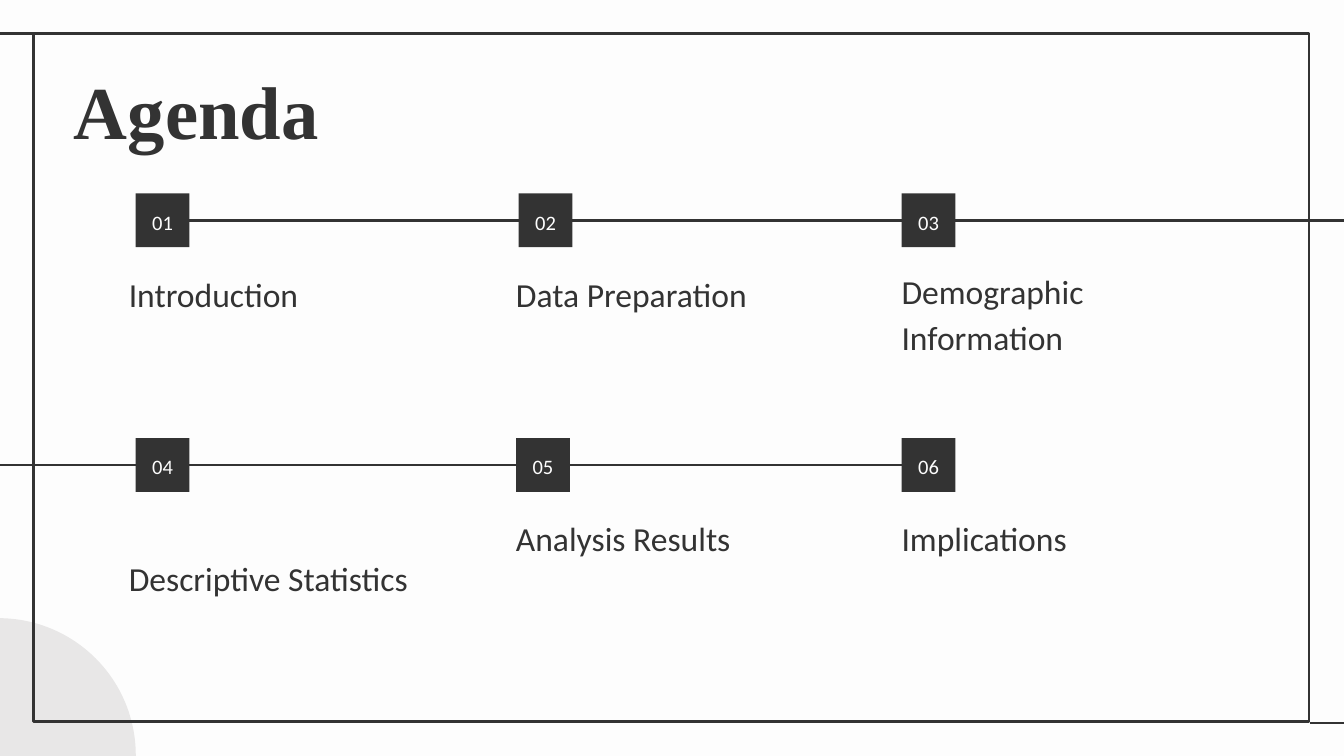
from lxml import etree
from pptx import Presentation
from pptx.dml.color import RGBColor
from pptx.enum.shapes import MSO_CONNECTOR, MSO_SHAPE
from pptx.enum.text import MSO_ANCHOR, MSO_AUTO_SIZE, PP_ALIGN
from pptx.oxml.ns import qn
from pptx.util import Inches, Pt

STRAIGHT = MSO_CONNECTOR.STRAIGHT
RECTANGLE, OVAL = MSO_SHAPE.RECTANGLE, MSO_SHAPE.OVAL
TOP, MIDDLE, BOTTOM = MSO_ANCHOR.TOP, MSO_ANCHOR.MIDDLE, MSO_ANCHOR.BOTTOM
LEFT, CENTER = PP_ALIGN.LEFT, PP_ALIGN.CENTER
NO_AUTOFIT = MSO_AUTO_SIZE.NONE

DARK, PALE, GRAY = "333333", "FDFDFD", "E8E7E7"
LINE_WIDTH = Pt(1.5)
BADGE_SIZE = 0.4

# Number, badge left and top, caption, caption left and top
AGENDA = [
    ("01", 1.01, 1.44, "Introduction", 0.86, 2.02),
    ("02", 3.86, 1.44, "Data Preparation", 3.74, 2.02),
    ("03", 6.71, 1.44, "Demographic Information", 6.61, 2.34),
    ("04", 1.01, 3.26, "Descriptive Statistics", 0.86, 4.13),
    ("05", 3.84, 3.26, "Analysis Results", 3.74, 3.83),
    ("06", 6.71, 3.26, "Implications", 6.61, 3.83),
]


def color(hex_string):
    return RGBColor.from_string(hex_string)


def write_text(shape, text, size, hex_color, anchor, alignment=LEFT,
               font_name="Calibri", bold=False, line_spacing=1.15):
    frame = shape.text_frame
    frame.text = text
    frame.word_wrap = True
    frame.auto_size = NO_AUTOFIT
    frame.vertical_anchor = anchor
    frame.margin_left = frame.margin_right = Inches(0.1)
    frame.margin_top = frame.margin_bottom = Inches(0.1)
    paragraph = frame.paragraphs[0]
    paragraph.alignment = alignment
    paragraph.line_spacing = line_spacing
    font = paragraph.font
    font.name, font.size, font.bold = font_name, Pt(size), bold
    font.color.rgb = color(hex_color)


def add_block(slide, kind, left, top, width, height, fill=None, line=None):
    shape = slide.shapes.add_shape(
        kind, Inches(left), Inches(top), Inches(width), Inches(height))
    shape.shadow.inherit = False
    if fill:
        shape.fill.solid()
        shape.fill.fore_color.rgb = color(fill)
    else:
        shape.fill.background()
    if line:
        shape.line.color.rgb = color(line)
        shape.line.width = LINE_WIDTH
    else:
        shape.line.fill.background()
    return shape


def add_horizontal_line(slide, start, end, top):
    connector = slide.shapes.add_connector(
        STRAIGHT, Inches(start), Inches(top), Inches(end), Inches(top))
    connector.line.color.rgb = color(DARK)
    connector.line.width = LINE_WIDTH
    properties = connector._element.spPr
    etree.SubElement(properties, qn("a:effectLst"))


def add_background(slide):
    fill = slide.background.fill
    fill.solid()
    fill.fore_color.rgb = color(PALE)
    add_block(slide, OVAL, -1.03, 4.6, 2.04, 2.04, fill=GRAY)
    add_block(slide, RECTANGLE, 0.25, 0.25, 9.49, 5.12, line=DARK)
    add_horizontal_line(slide, 0.26, -0.02, 0.25)
    add_horizontal_line(slide, 10.03, 9.75, 5.38)


def set_title(slide, text):
    title = slide.shapes.title
    title.left, title.top = Inches(0.45), Inches(0.38)
    title.width, title.height = Inches(8.43), Inches(0.63)
    write_text(title, text, 40, DARK, TOP, font_name="Times New Roman",
               bold=True, line_spacing=1.0)


def add_badge(slide, number, left, top):
    badge = add_block(slide, RECTANGLE, left, top, BADGE_SIZE, BADGE_SIZE, fill=DARK)
    write_text(badge, number, 11, PALE, MIDDLE, CENTER)


def add_caption(slide, text, left, top):
    caption = slide.shapes.add_textbox(
        Inches(left), Inches(top), Inches(2.52), Inches(0.42))
    write_text(caption, text, 18, DARK, BOTTOM)


def main():
    presentation = Presentation()
    presentation.slide_width = Inches(10)
    presentation.slide_height = Inches(10) * 9 // 16
    slide = presentation.slides.add_slide(presentation.slide_layouts[5])
    add_background(slide)
    add_horizontal_line(slide, 6.71, -0.18, 3.46)
    add_horizontal_line(slide, 1.41, 10.17, 1.64)
    set_title(slide, "Agenda")
    for number, badge_left, badge_top, text, text_left, text_top in AGENDA:
        add_badge(slide, number, badge_left, badge_top)
        add_caption(slide, text, text_left, text_top)
    presentation.save("out.pptx")


if __name__ == "__main__":
    main()
